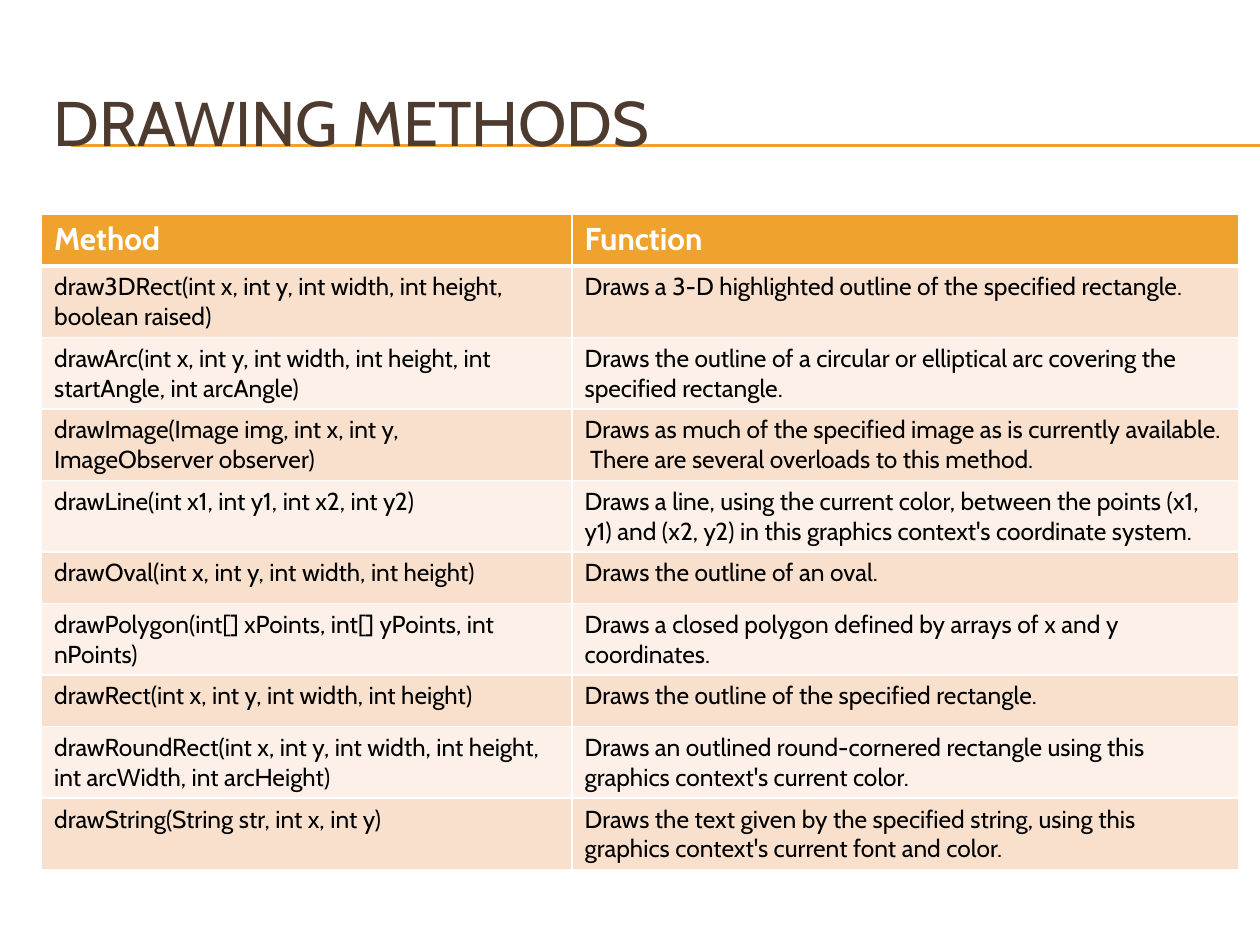
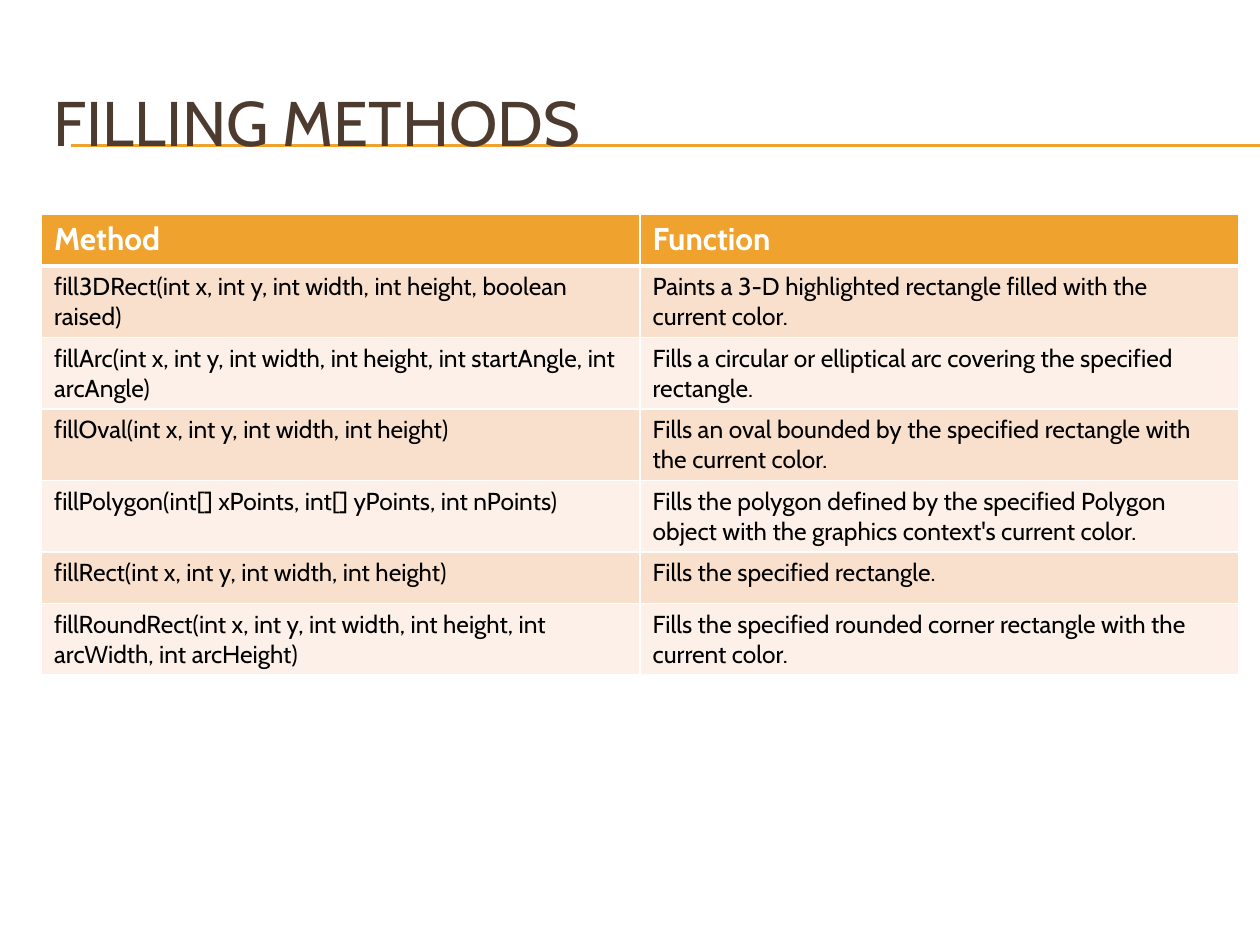
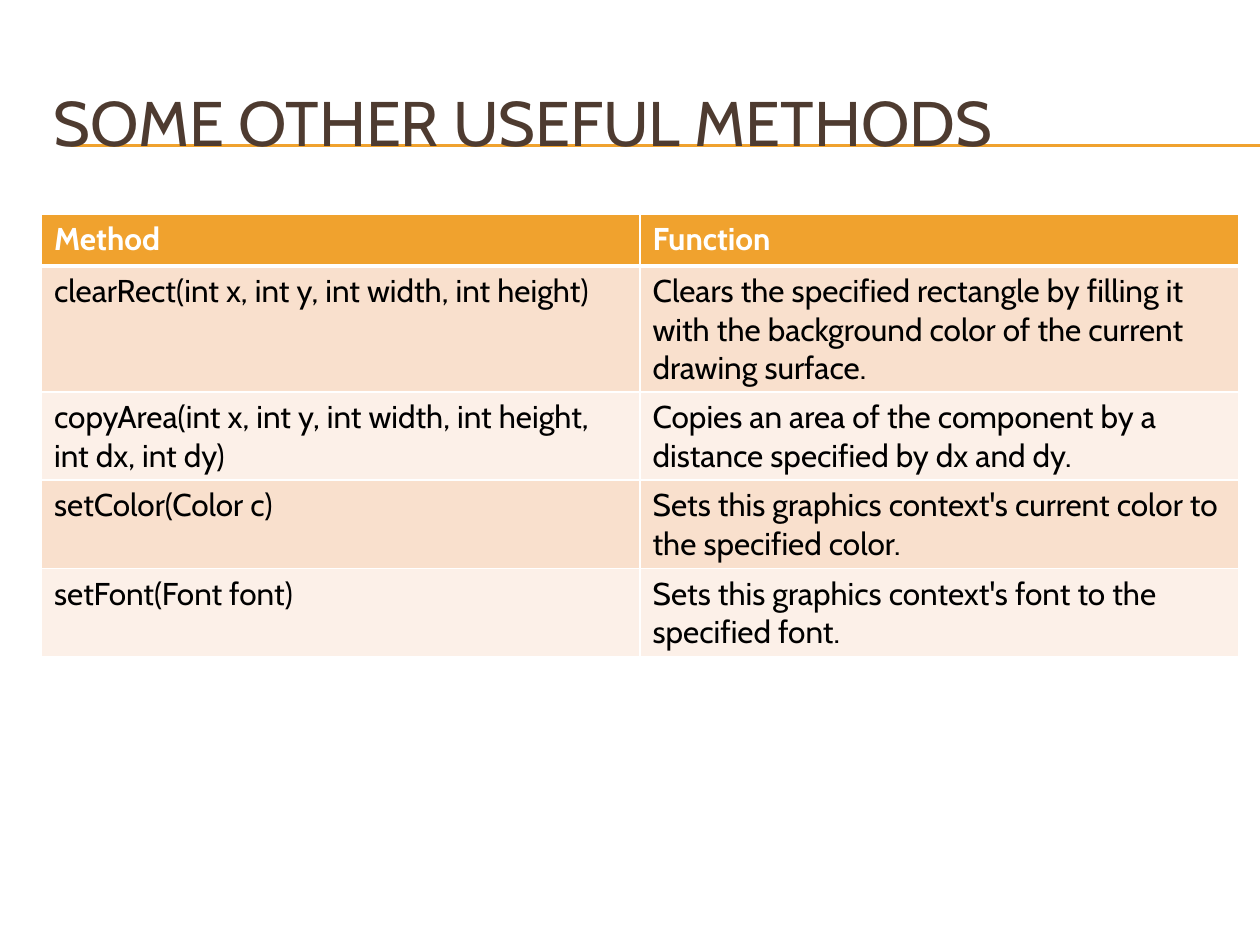
from lxml import etree
from pptx import Presentation
from pptx.dml.color import RGBColor
from pptx.enum.shapes import MSO_CONNECTOR
from pptx.enum.text import MSO_ANCHOR
from pptx.oxml.ns import qn
from pptx.util import Inches, Pt

STRAIGHT = MSO_CONNECTOR.STRAIGHT
MIDDLE = MSO_ANCHOR.MIDDLE

FONT = "Cabin"
COLORS = {
    "accent": "F0A22E",
    "title": "4E3B30",
    "band_dark": "F9E0CD",
    "band_light": "FCF0E8",
    "body": "000000",
    "white": "FFFFFF",
}
LEFT, WIDTH = 0.33, 9.5
TABLE_TOP, ROW_HEIGHT = 1.7, 0.41
HEADER = ("Method", "Function")

# Each topic: title, width of the method column, body text size, method rows
TOPICS = [
    ("DRAWING METHODS", 4.21, 14, [
        ("draw3DRect(int x, int y, int width, int height, boolean raised)",
         "Draws a 3-D highlighted outline of the specified rectangle."),
        ("drawArc(int x, int y, int width, int height, int startAngle, int arcAngle)",
         "Draws the outline of a circular or elliptical arc covering the specified rectangle."),
        ("drawImage(Image img, int x, int y, ImageObserver observer)",
         "Draws as much of the specified image as is currently available.  "
         "There are several overloads to this method."),
        ("drawLine(int x1, int y1, int x2, int y2)",
         "Draws a line, using the current color, between the points (x1, y1) and (x2, y2) "
         "in this graphics context's coordinate system."),
        ("drawOval(int x, int y, int width, int height)",
         "Draws the outline of an oval."),
        ("drawPolygon(int[] xPoints, int[] yPoints, int nPoints)",
         "Draws a closed polygon defined by arrays of x and y coordinates."),
        ("drawRect(int x, int y, int width, int height)",
         "Draws the outline of the specified rectangle."),
        ("drawRoundRect(int x, int y, int width, int height, int arcWidth, int arcHeight)",
         "Draws an outlined round-cornered rectangle using this graphics context's current color."),
        ("drawString(String str, int x, int y)",
         "Draws the text given by the specified string, using this graphics context's "
         "current font and color."),
    ]),
    ("FILLING METHODS", 4.75, 14, [
        ("fill3DRect(int x, int y, int width, int height, boolean raised)",
         "Paints a 3-D highlighted rectangle filled with the current color."),
        ("fillArc(int x, int y, int width, int height, int startAngle, int arcAngle)",
         "Fills a circular or elliptical arc covering the specified rectangle."),
        ("fillOval(int x, int y, int width, int height)",
         "Fills an oval bounded by the specified rectangle with the current color."),
        ("fillPolygon(int[] xPoints, int[] yPoints, int nPoints)",
         "Fills the polygon defined by the specified Polygon object with the graphics "
         "context's current color."),
        ("fillRect(int x, int y, int width, int height)",
         "Fills the specified rectangle."),
        ("fillRoundRect(int x, int y, int width, int height, int arcWidth, int arcHeight)",
         "Fills the specified rounded corner rectangle with the current color."),
    ]),
    ("SOME OTHER USEFUL METHODS", 4.75, 18, [
        ("clearRect(int x, int y, int width, int height)",
         "Clears the specified rectangle by filling it with the background color of the "
         "current drawing surface."),
        ("copyArea(int x, int y, int width, int height, int dx, int dy)",
         "Copies an area of the component by a distance specified by dx and dy."),
        ("setColor(Color c)",
         "Sets this graphics context's current color to the specified color."),
        ("setFont(Font font)",
         "Sets this graphics context's font to the specified font."),
    ]),
]


def write(frame, text, size, color, bold=False):
    paragraph = frame.paragraphs[0]
    paragraph.text = text
    font = paragraph.font
    font.name, font.size, font.bold = FONT, Pt(size), bold
    font.color.rgb = RGBColor.from_string(COLORS[color])


def fill_cell(cell, color, top, bottom):
    """Fill a cell and give it white borders; top and bottom are in points."""
    properties = cell._tc.get_or_add_tcPr()
    for side, points in (("lnL", 1), ("lnR", 1), ("lnT", top), ("lnB", bottom)):
        border = etree.SubElement(properties, qn(f"a:{side}"), w=str(Pt(points)))
        solid = etree.SubElement(border, qn("a:solidFill"))
        etree.SubElement(solid, qn("a:srgbClr"), val=COLORS["white"])
    cell.fill.solid()
    cell.fill.fore_color.rgb = RGBColor.from_string(COLORS[color])


prs = Presentation()
prs.slide_width, prs.slide_height = Inches(10), Inches(7.5)

for title, method_width, body_size, methods in TOPICS:
    slide = prs.slides.add_slide(prs.slide_layouts[6])

    # Double rule behind the title
    for y in (1.15, 1.16):
        rule = slide.shapes.add_connector(
            STRAIGHT, Inches(0.56), Inches(y), Inches(10), Inches(y))
        rule.line.color.rgb = RGBColor.from_string(COLORS["accent"])
        rule.line.width = Pt(0.75)
        etree.SubElement(rule._element.spPr, qn("a:effectLst"))

    # Title
    heading = slide.shapes.add_textbox(
        Inches(LEFT), Inches(0.5), Inches(WIDTH), Inches(0.92)).text_frame
    heading.word_wrap = True
    heading.vertical_anchor = MIDDLE
    write(heading, title, 36, "title")

    # Method table
    rows = [HEADER] + methods
    table = slide.shapes.add_table(
        len(rows), 2, Inches(LEFT), Inches(TABLE_TOP),
        Inches(WIDTH), Inches(ROW_HEIGHT * len(rows))).table
    table.columns[0].width = Inches(method_width)
    table.columns[1].width = Inches(WIDTH - method_width)
    for r, row in enumerate(rows):
        table.rows[r].height = Inches(ROW_HEIGHT)
        for c, text in enumerate(row):
            cell = table.cell(r, c)
            if r == 0:
                fill_cell(cell, "accent", 1, 3)
                write(cell.text_frame, text, 18, "white", bold=True)
            else:
                band = "band_dark" if r % 2 else "band_light"
                fill_cell(cell, band, 3 if r == 1 else 1, 1)
                write(cell.text_frame, text, body_size, "body")

prs.save("out.pptx")
